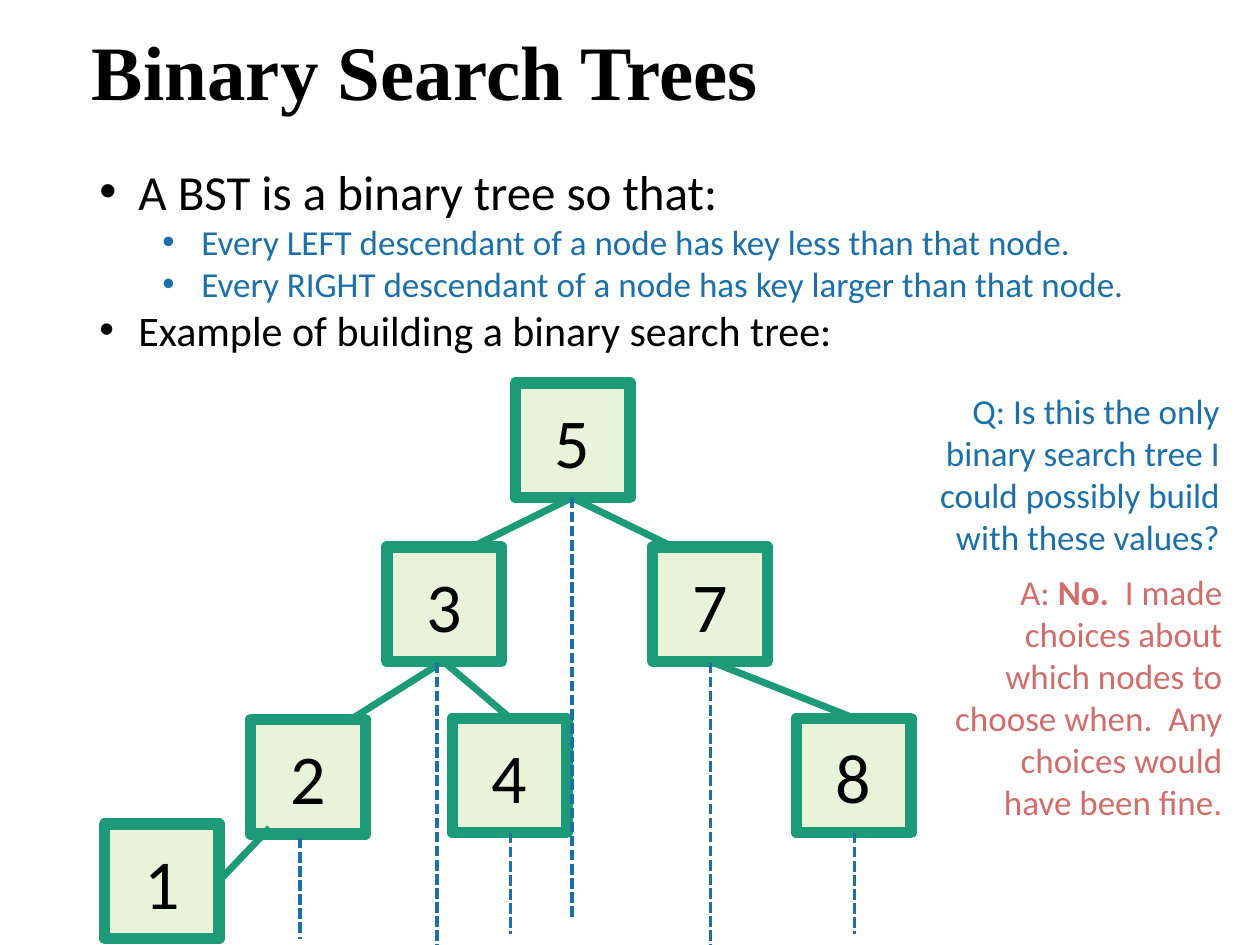
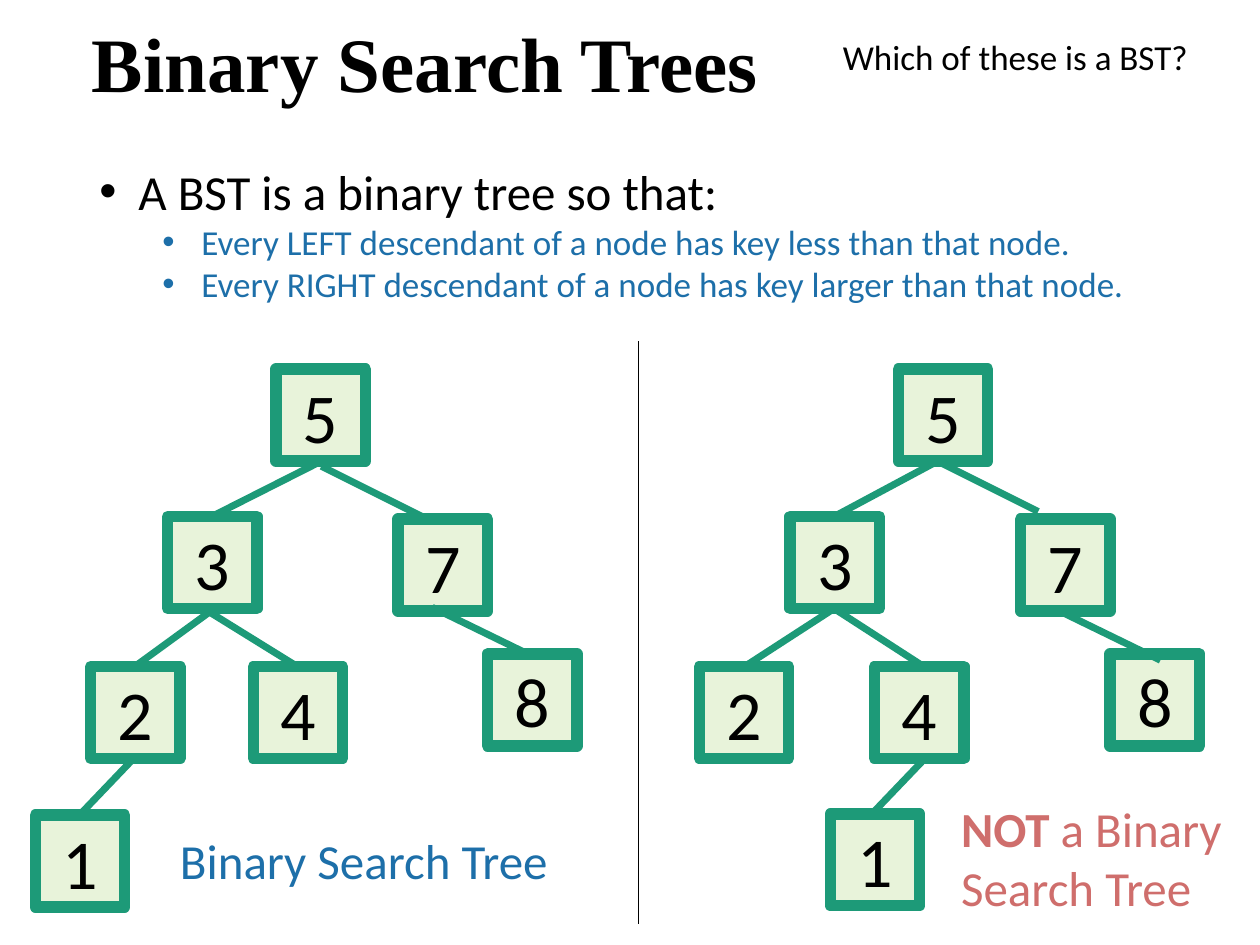
from lxml import etree
from pptx import Presentation
from pptx import util as u
from pptx.dml.color import RGBColor
from pptx.enum import dml, shapes, text
from pptx.oxml.ns import qn

BLACK = RGBColor(0x00, 0x00, 0x00)
BLUE = RGBColor(0x1D, 0x6F, 0xA9)
GREEN = RGBColor(0x1D, 0x9A, 0x78)
PALE = RGBColor(0xE8, 0xF3, 0xDA)
RED = RGBColor(0xCF, 0x6E, 0x6C)
SANS = "Calibri"
SERIF = "Times New Roman"
LEFT, RIGHT, MID = text.PP_ALIGN.LEFT, text.PP_ALIGN.RIGHT, text.PP_ALIGN.CENTER

RULES = [
    ("A BST is a binary tree so that:", 0, 28, BLACK),
    ("Every LEFT descendant of a node has key less than that node.", 1, 20, BLUE),
    ("Every RIGHT descendant of a node has key larger than that node.", 1, 20, BLUE),
]
SAMPLE = ("Example of building a binary search tree:", 0, 24, BLACK)

BUILD_NODES = {"5": (3.26, 0), "3": (2.24, 1.3), "7": (4.35, 1.3), "2": (1.16, 2.67),
               "4": (2.76, 2.66), "8": (5.49, 2.66), "1": (0, 3.5)}
BUILD_EDGES = [(3.71, 0.91, 4.51, 1.3), (3.71, 0.91, 2.92, 1.3), (2.64, 2.24, 1.97, 2.66),
               (2.69, 2.21, 3.22, 2.66), (4.81, 2.21, 5.95, 2.66), (1.31, 3.53, 0.91, 3.95)]
SPLITS = [(3.71, 0.91, 4.24), (2.64, 2.22, 4.46), (4.81, 2.22, 4.46),
          (3.22, 3.57, 4.37), (5.95, 3.57, 4.37), (1.55, 3.61, 4.41)]

UPPER = {"5": (1.91, 0), "3": (1.05, 1.17), "7": (2.88, 1.19), "8": (3.59, 2.26)}
GOOD_NODES = UPPER | {"2": (0.44, 2.36), "4": (1.73, 2.36), "1": (0, 3.54)}
GOOD_EDGES = [(2.27, 0.77, 3.07, 1.17), (3.15, 1.89, 3.95, 2.28), (1.37, 1.92, 2.08, 2.36),
              (2.27, 0.73, 1.4, 1.17), (1.38, 1.93, 0.79, 2.36), (0.79, 3.08, 0.35, 3.54)]
BAD_NODES = UPPER | {"2": (0.33, 2.36), "4": (1.72, 2.36), "1": (1.37, 3.53)}
BAD_EDGES = [(2.22, 0.73, 3.02, 1.13), (3.19, 1.92, 3.99, 2.31), (1.4, 1.9, 2.08, 2.34),
             (2.24, 0.72, 1.4, 1.17), (1.4, 1.9, 0.69, 2.36), (2.13, 3.08, 1.69, 3.54)]


def inch(*sizes):
    return [u.Inches(size) for size in sizes]


def add_run(para, words, size, color, bold=False, face=SANS):
    run = para.add_run()
    run.text = words
    font = run.font
    font.name, font.size, font.bold = face, u.Pt(size), bold
    font.color.rgb = color


def add_title(slide, top):
    title = slide.shapes.title
    title.left, title.top, title.width, title.height = inch(0.63, top, 8.62, 0.92)
    title.text_frame.vertical_anchor = text.MSO_ANCHOR.MIDDLE
    para = title.text_frame.paragraphs[0]
    para.alignment, para.line_spacing = LEFT, 0.9
    add_run(para, "Binary Search Trees", 44, BLACK, True, SERIF)


def add_box(slide, box):
    frame = slide.shapes.add_textbox(*inch(*box)).text_frame
    frame.word_wrap = True
    return frame


def add_note(slide, box, parts, size, color, align=LEFT):
    para = add_box(slide, box).paragraphs[0]
    para.alignment = align
    for words, bold in parts:
        add_run(para, words, size, color, bold)


def add_list(slide, box, items):
    frame = add_box(slide, box)
    for i, (words, level, size, color) in enumerate(items):
        para = frame.add_paragraph() if i else frame.paragraphs[0]
        para.level = level
        props = para._p.get_or_add_pPr()
        props.set("marL", str(u.Inches(0.31 + 0.5 * level)))
        props.set("indent", str(u.Inches(-0.31)))
        etree.SubElement(props, qn("a:buFont")).set("typeface", "Arial")
        etree.SubElement(props, qn("a:buChar")).set("char", "•")
        add_run(para, words, size, color)


def add_line(slide, ends, color, width, dash=None):
    line = slide.shapes.add_connector(shapes.MSO_CONNECTOR.STRAIGHT, *inch(*ends))
    line.line.color.rgb, line.line.width = color, u.Pt(width)
    if dash:
        line.line.dash_style = dash
    etree.SubElement(line._element.spPr, qn("a:effectLst"))


def add_node(slide, box, key):
    node = slide.shapes.add_shape(shapes.MSO_SHAPE.RECTANGLE, *inch(*box))
    node.shadow.inherit = False
    node.fill.solid()
    node.fill.fore_color.rgb = PALE
    node.line.color.rgb, node.line.width = GREEN, u.Pt(6.5)
    node.text_frame.vertical_anchor = text.MSO_ANCHOR.MIDDLE
    para = node.text_frame.paragraphs[0]
    para.alignment = MID
    add_run(para, key, 40, BLACK)


def add_tree(slide, left, top, size, nodes, edges, splits=()):
    for key, (x, y) in nodes.items():
        add_node(slide, (left + x, top + y, *size), key)
    for x1, y1, x2, y2 in edges:
        add_line(slide, (left + x1, top + y1, left + x2, top + y2), GREEN, 4)
    for x, y1, y2 in splits:
        add_line(slide, (left + x, top + y1, left + x, top + y2), BLUE, 2,
                 dml.MSO_LINE.SQUARE_DOT)


def new_slide(deck, top, items, height):
    slide = deck.slides.add_slide(deck.slide_layouts[5])
    add_title(slide, top)
    add_list(slide, (0.69, 1.23, 9.18, height), items)
    return slide


def build_slide(deck):
    slide = new_slide(deck, 0.14, RULES + [SAMPLE], 1.65)
    add_tree(slide, 0.83, 3.04, (0.91, 0.91), BUILD_NODES, BUILD_EDGES, SPLITS)
    add_note(slide, (6.94, 3.04, 2.84, 1.45),
             [("Q: Is this the only binary search tree I could possibly build "
               "with these values?", False)], 20, BLUE, RIGHT)
    add_note(slide, (7.46, 4.48, 2.34, 2.12),
             [("A: ", False), ("No.", True),
              ("  I made choices about which nodes to choose when.  "
               "Any choices would have been fine.", False)], 20, RED, RIGHT)


def quiz_slide(deck):
    slide = new_slide(deck, 0.08, RULES, 1.25)
    size = (0.71, 0.73)
    add_tree(slide, 0.28, 2.93, size, GOOD_NODES, GOOD_EDGES)
    add_tree(slide, 5.22, 2.93, size, BAD_NODES, BAD_EDGES)
    add_line(slide, (5.07, 7.33, 5.07, 2.71), BLACK, 0.5)
    add_note(slide, (1.33, 6.54, 3.28, 0.57), [("Binary Search Tree", False)], 28, BLUE)
    add_note(slide, (7.53, 6.29, 2.42, 1.04),
             [("NOT", True), (" a Binary Search Tree", False)], 28, RED)
    add_note(slide, (6.59, 0.23, 3.28, 0.44), [("Which of these is a BST?", False)], 20, BLACK)


def main():
    deck = Presentation()
    deck.slide_width, deck.slide_height = inch(10, 7.5)
    build_slide(deck)
    quiz_slide(deck)
    deck.save("out.pptx")


if __name__ == "__main__":
    main()
